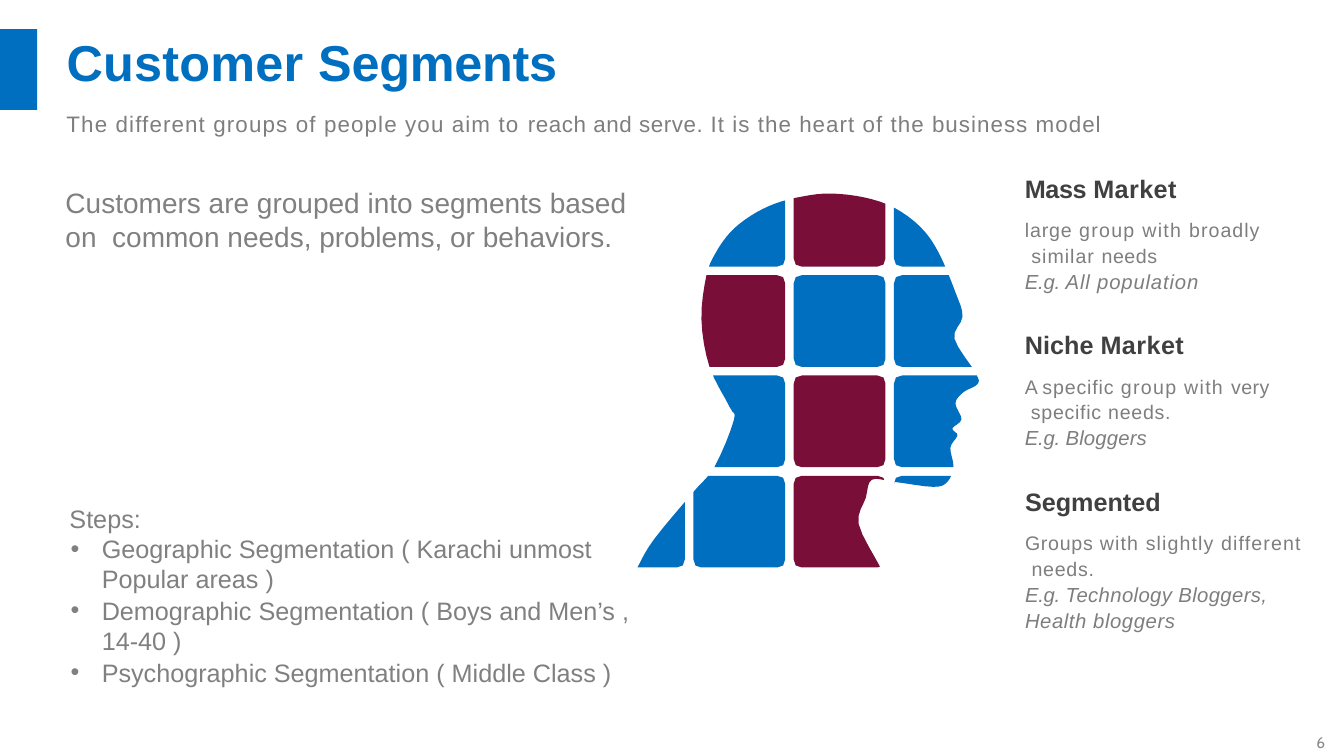
from itertools import product
from typing import NamedTuple

from lxml import etree
from pptx import Presentation
from pptx import util as u
from pptx.dml.color import RGBColor
from pptx.enum import shapes, text
from pptx.oxml.ns import qn

Point = tuple[float, float]

COLORS = {
    "blue": "006FC0", "wine": "790F38", "heading": "404040",
    "body": "7E7E7E", "gray": "808080", "number": "888888",
}
GRID_LEFT, GRID_TOP, PITCH, TILE_SIZE = 688, 173.5, 99.5, 91
CORNER_STEPS = [(0, 8), (1, 5), (2, 2), (5, 1), (8, 0)]
WINE_TILES = {(1, 0), (0, 1), (1, 2), (1, 3)}
HEAD = [
    (879, 575), (873, 562), (852, 520), (859, 494), (865, 476), (887, 478),
    (926, 483), (940, 478), (946, 463), (943, 444), (950, 432), (945, 425),
    (954, 416), (948, 400), (956, 389), (970, 381), (968, 370), (947, 336),
    (955, 314), (948, 290), (931, 250), (913, 225), (887, 206), (858, 196),
    (824, 192), (796, 195), (769, 202), (745, 214), (725, 230), (710, 251),
    (701, 273), (696, 317), (704, 364), (724, 404), (728, 417), (709, 463),
    (688, 488), (649, 535), (633, 562), (627, 575),
]


class Style(NamedTuple):
    size: float
    color: str
    bold: bool = False
    italic: bool = False
    font: str = "Arial"


class Line(NamedTuple):
    style: Style
    runs: list[tuple[str, float]]
    before: float = 1
    spacing: float | None = None
    bullet: bool = False


class Box(NamedTuple):
    left: float
    top: float
    width: float
    height: float
    lines: list[Line]


class Segment(NamedTuple):
    width: float
    height: float
    name: list[tuple[str, float]]
    description: list[tuple[str, float]]
    examples: list[list[tuple[str, float]]]


TITLE = Style(36, "blue", bold=True)
SUBTITLE = Style(16, "body")
INTRO = Style(20, "gray")
STEP = Style(18, "gray")
HEADING = Style(18, "heading", bold=True)
DESCRIPTION = Style(14, "body")
EXAMPLE = Style(14.5, "body", italic=True)
NUMBER = Style(11, "number", font="Cabin")

STEPS = [
    "Geographic Segmentation ( Karachi unmost Popular areas )",
    "Demographic Segmentation ( Boys and Men’s , 14-40 )",
    "Psychographic Segmentation ( Middle Class )",
]

BOXES = [
    Box(13.05, 7.26, 0.11, 0.2, [Line(NUMBER, [("6", 0)])]),
    Box(0.65, 0.3, 4.91, 0.63, [Line(TITLE, [("Customer ", 0.2), ("Segments", -0.2)])]),
    Box(0.65, 1.08, 10.37, 0.29, [Line(SUBTITLE, [
        ("The different groups of people you aim to ", 0.82),
        ("reach and serve. ", 0.42),
        ("It is the heart of the business model", 0.76)])]),
    Box(0.64, 1.83, 5.96, 0.7, [Line(INTRO, [(
        "Customers are grouped into segments based on  common needs, problems, or behaviors.", 0)])]),
    Box(0.68, 4.98, 0.74, 0.33, [Line(STEP, [("Steps:", 0)])]),
    Box(0.68, 5.28, 5.59, 1.87, [Line(STEP, [(step, 0)], bullet=True) for step in STEPS]),
]

SEGMENTS = [
    Segment(2.36, 1.22, [("Mass ", -0.3), ("Market", 0.3)],
            [("large ", 0.6), ("group with ", 0.9), ("broadly  similar ", 0.7), ("needs", 0.4)],
            [[("E.g. ", -0.2), ("All population", 0.6)]]),
    Segment(2.47, 1.22, [("Niche ", 0), ("Market", 0.3)],
            [("A ", 0), ("specific ", 0.6), ("group with ", 0.9), ("very  ", 0.3), ("specific needs.", 0.5)],
            [[("E.g. ", -0.2), ("Bloggers", 0.1)]]),
    Segment(2.79, 1.48, [("Segmented", 0)],
            [("Groups ", 0.5), ("with slightly different  ", 0.8), ("needs.", 0.5)],
            [[("E.g. ", -0.2), ("Technology Bloggers,", 0.25)], [("Health bloggers", 0.4)]]),
]


def inch(value: float) -> u.Length:
    return u.Cm(value * 2.54)


def paint(shape, color: str) -> None:
    shape.fill.solid()
    shape.fill.fore_color.rgb = RGBColor.from_string(COLORS[color])
    shape.line.fill.background()
    shape.shadow.inherit = False


def smooth_curve(points: list[Point], steps: int = 4) -> list[Point]:
    padded = [points[0], *points, points[-1]]
    curve = []
    for a, b, c, d in zip(padded, padded[1:], padded[2:], padded[3:]):
        for step in range(steps):
            t = step / steps
            curve.append(tuple(
                q + t / 2 * (r - p + t * (2 * p - 5 * q + 4 * r - s + t * (3 * q - p - 3 * r + s)))
                for p, q, r, s in zip(a, b, c, d)))
    return curve + [points[-1]]


def tile_outline(column: int, row: int) -> list[Point]:
    left, top = GRID_LEFT + PITCH * column, GRID_TOP + PITCH * row
    right, bottom = left + TILE_SIZE, top + TILE_SIZE
    back = CORNER_STEPS[::-1]
    return ([(left + x, top + y) for x, y in back]
            + [(left + x, bottom - y) for x, y in CORNER_STEPS]
            + [(right - x, bottom - y) for x, y in back]
            + [(right - x, top + y) for x, y in CORNER_STEPS])


def clip(points: list[Point], convex: list[Point]) -> list[Point]:
    for (ax, ay), (bx, by) in zip(convex, convex[1:] + convex[:1]):
        sides = [(by - ay) * (x - ax) - (bx - ax) * (y - ay) for x, y in points]
        kept = []
        for index, point in enumerate(points):
            previous, side, last = points[index - 1], sides[index], sides[index - 1]
            if (side >= 0) != (last >= 0):
                t = last / (last - side)
                kept.append(tuple(p + t * (q - p) for p, q in zip(previous, point)))
            if side >= 0:
                kept.append(point)
        points = kept
    return points


def draw_tile(slide, head: list[Point], column: int, row: int) -> None:
    points = clip(head, tile_outline(column, row))
    if not points:
        return
    start, *others = [(inch(x / 100), inch(y / 100)) for x, y in points]
    builder = slide.shapes.build_freeform(*start)
    builder.add_line_segments(others, close=True)
    paint(builder.convert_to_shape(), "wine" if (column, row) in WINE_TILES else "blue")


def write_line(paragraph, line: Line) -> None:
    paragraph.space_before = u.Pt(line.before)
    if line.spacing:
        paragraph.line_spacing = line.spacing
    properties = paragraph._p.get_or_add_pPr()
    properties.set("marL", str(inch(0.33 if line.bullet else 0.01)))
    properties.set("indent", str(inch(-0.31 if line.bullet else 0)))
    if line.bullet:
        etree.SubElement(properties, qn("a:buFont")).set("typeface", "Arial")
        etree.SubElement(properties, qn("a:buChar")).set("char", "•")
    for words, tracking in line.runs:
        run = paragraph.add_run()
        run.text = words
        font = run.font
        font.name, font.size = line.style.font, u.Pt(line.style.size)
        font.bold, font.italic = line.style.bold, line.style.italic
        font.color.rgb = RGBColor.from_string(COLORS[line.style.color])
        if tracking:
            run._r.get_or_add_rPr().set("spc", str(round(tracking * 100)))


def draw_box(slide, box: Box) -> None:
    shape = slide.shapes.add_textbox(inch(box.left), inch(box.top), inch(box.width), inch(box.height))
    frame = shape.text_frame
    frame.word_wrap = True
    frame.auto_size = text.MSO_AUTO_SIZE.SHAPE_TO_FIT_TEXT
    frame.margin_left = frame.margin_right = frame.margin_bottom = 0
    frame.margin_top = inch(0.01)
    for index, line in enumerate(box.lines):
        write_line(frame.add_paragraph() if index else frame.paragraphs[0], line)


def segment_box(index: int, segment: Segment) -> Box:
    lines = [Line(HEADING, segment.name), Line(DESCRIPTION, segment.description, 8.8, 1.1)]
    lines += [Line(EXAMPLE, example, 1.2) for example in segment.examples]
    return Box(10.16, 1.71 + 1.55 * index, segment.width, segment.height, lines)


def main() -> None:
    presentation = Presentation()
    presentation.slide_width, presentation.slide_height = u.Cm(33.87), u.Cm(19.05)
    slide = presentation.slides.add_slide(presentation.slide_layouts[6])
    bar = slide.shapes.add_shape(shapes.MSO_SHAPE.RECTANGLE, 0, inch(0.29), inch(0.37), inch(0.8))
    paint(bar, "blue")
    for box in BOXES + [segment_box(*item) for item in enumerate(SEGMENTS)]:
        draw_box(slide, box)
    head = smooth_curve(HEAD)
    for column, row in product(range(-1, 3), range(4)):
        draw_tile(slide, head, column, row)
    presentation.save("out.pptx")


if __name__ == "__main__":
    main()
